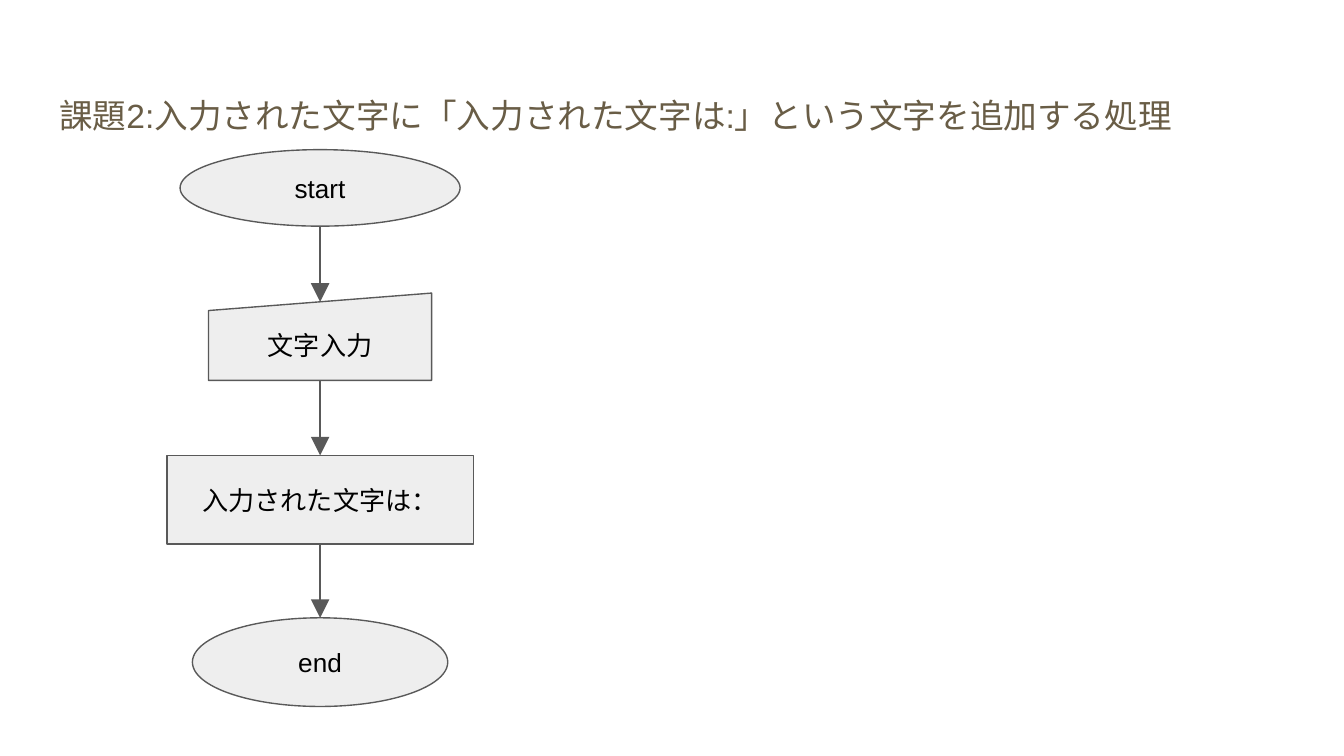
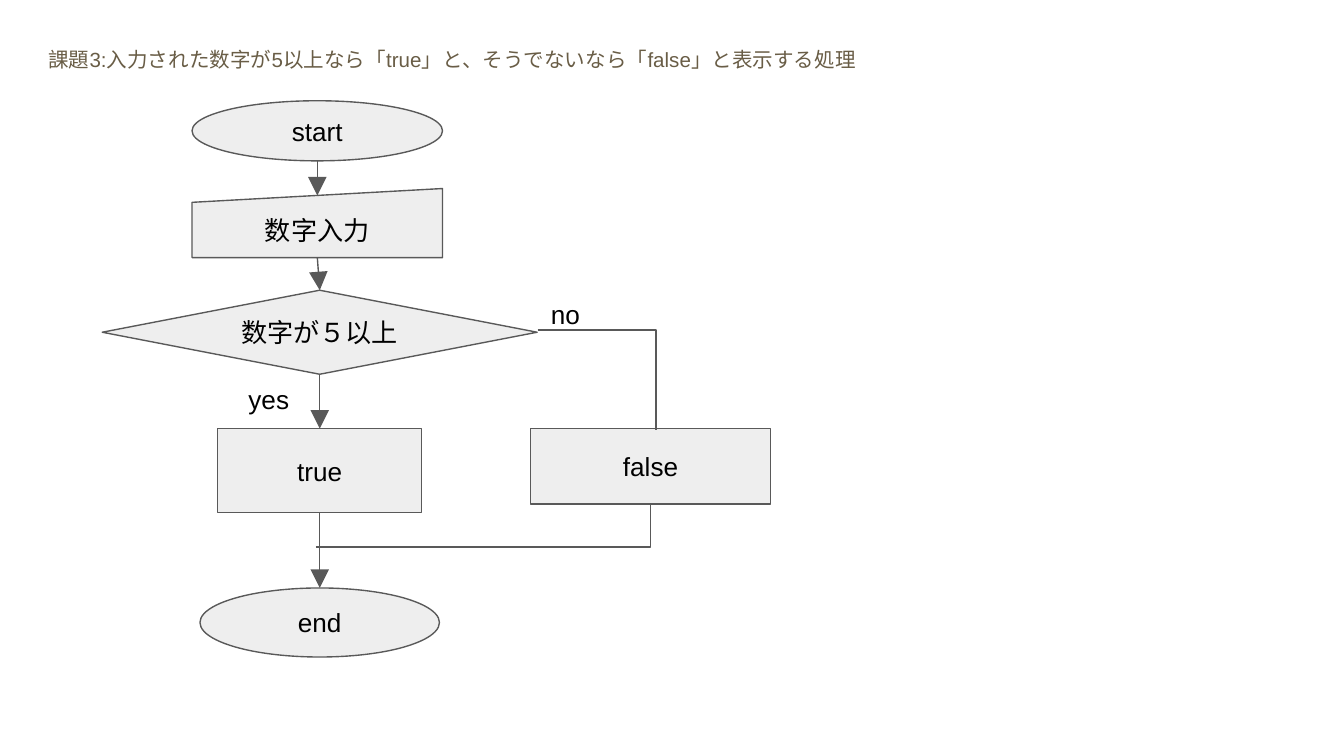
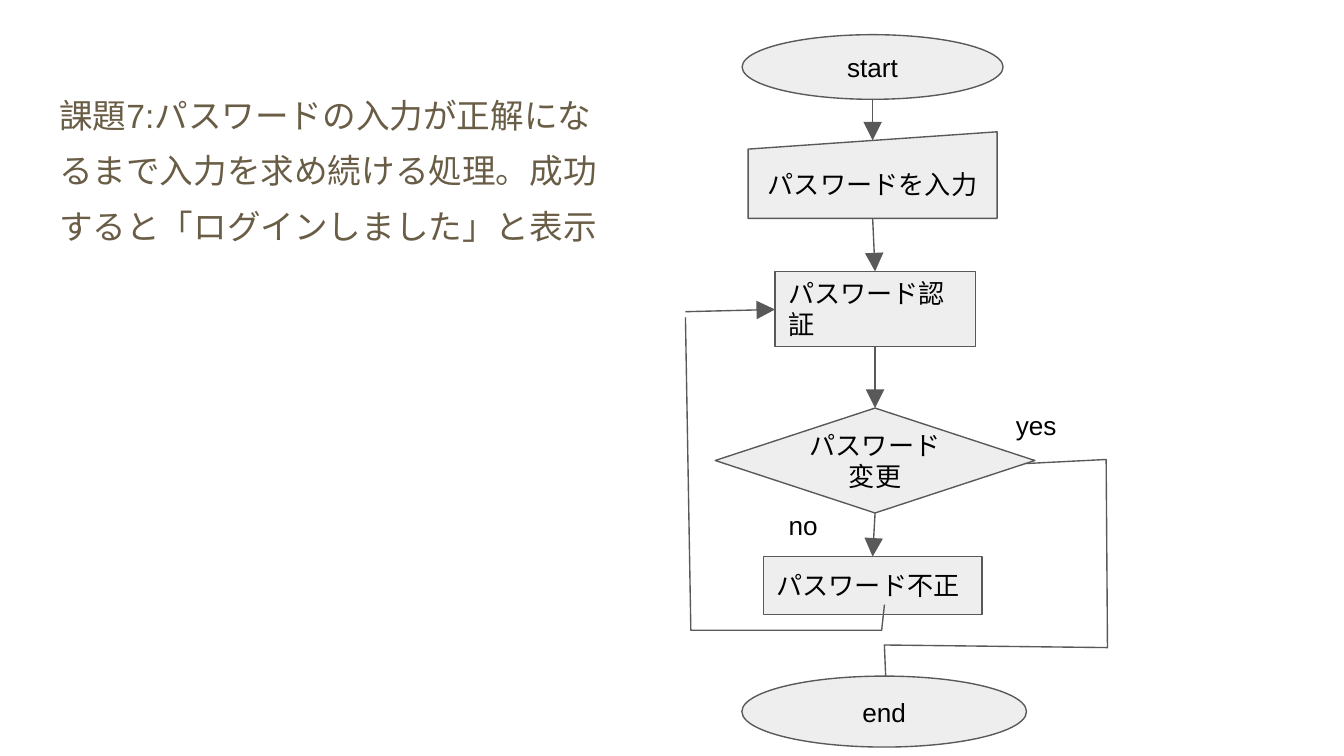
from lxml.etree import SubElement
from pptx import Presentation
from pptx.dml.color import RGBColor
from pptx.enum.shapes import MSO_CONNECTOR as Connector, MSO_SHAPE as Shape
from pptx.enum.text import MSO_ANCHOR as Anchor, MSO_AUTO_SIZE as AutoSize, PP_ALIGN as Align
from pptx.oxml.ns import qn
from pptx.util import Pt

COLORS = {"title": "695D46", "fill": "EEEEEE", "line": "595959", "text": "000000"}
FONT = "Arial"
INSET = Pt(7.2)
LINE_WIDTH = Pt(0.75)
TITLE_ONLY = 5
FRAME_FORMAT = {
    "margin_left": INSET, "margin_right": INSET,
    "margin_top": INSET, "margin_bottom": INSET,
    "word_wrap": True, "auto_size": AutoSize.NONE,
}
TITLE_SPACING = {"line_spacing": 1.38, "space_before": Pt(0), "space_after": Pt(16)}


def color(name):
    return RGBColor.from_string(COLORS[name])


def apply(target, values):
    for name, value in values.items():
        setattr(target, name, value)


class Flowchart:
    """Holds the shared style and the slide being drawn; lengths are points."""

    def __init__(self, presentation):
        self.presentation = presentation
        self.slide = None

    def new_slide(self, title, box, size=18):
        layout = self.presentation.slide_layouts[TITLE_ONLY]
        self.slide = self.presentation.slides.add_slide(layout)
        shape = self.slide.shapes.title
        apply(shape, dict(zip(("left", "top", "width", "height"), map(Pt, box))))
        self.set_text(shape, title, size, "title", Align.LEFT, Anchor.TOP, TITLE_SPACING)

    def set_text(self, shape, text, size=14, ink="text", align=Align.LEFT,
                 anchor=Anchor.TOP, spacing=None):
        frame = shape.text_frame
        apply(frame, {**FRAME_FORMAT, "vertical_anchor": anchor})
        paragraph = frame.paragraphs[0]
        apply(paragraph, {"alignment": align, **(spacing or {})})
        run = paragraph.add_run()
        run.text = text
        apply(run.font, {"size": Pt(size), "name": FONT, "bold": False})
        run.font.color.rgb = color(ink)

    def outline(self, shape):
        shape.line.color.rgb = color("line")
        shape.line.width = LINE_WIDTH

    def node(self, kind, text, center, top, width, height, align=Align.CENTER):
        shape = self.slide.shapes.add_shape(
            kind, Pt(center - width / 2), Pt(top), Pt(width), Pt(height))
        shape.shadow.inherit = False
        shape.fill.solid()
        shape.fill.fore_color.rgb = color("fill")
        self.outline(shape)
        self.set_text(shape, text, align=align, anchor=Anchor.MIDDLE)
        return shape

    def label(self, text, left, top, width, height):
        box = self.slide.shapes.add_textbox(Pt(left), Pt(top), Pt(width), Pt(height))
        self.set_text(box, text)

    def connector(self, kind, begin, end):
        connector = self.slide.shapes.add_connector(kind, *begin, *end)
        self.outline(connector)
        SubElement(connector._element.spPr, qn("a:effectLst"))
        return connector

    def arrow(self, begin, end):
        connector = self.connector(Connector.STRAIGHT, begin, end)
        line = connector._element.spPr.find(qn("a:ln"))
        SubElement(line, qn("a:tailEnd"), type="triangle", w="lg", len="lg")

    def corner(self, begin, end):
        """Draw a connector with one bend, horizontal first."""
        connector = self.connector(Connector.ELBOW, begin, end)
        connector._element.spPr.find(qn("a:prstGeom")).set("prst", "bentConnector2")

    def flow(self, *nodes):
        """Join each node to the next, from bottom centre to top centre."""
        for upper, lower in zip(nodes, nodes[1:]):
            # The slanted edge of a manual input is a tenth lower at its middle.
            slanted = lower.auto_shape_type == Shape.FLOWCHART_MANUAL_INPUT
            drop = lower.height // 10 if slanted else 0
            self.arrow((upper.left + upper.width // 2, upper.top + upper.height),
                       (lower.left + lower.width // 2, lower.top + drop))

    def polyline(self, *points):
        start, *others = [(Pt(x), Pt(y)) for x, y in points]
        builder = self.slide.shapes.build_freeform(*start)
        builder.add_line_segments(others, close=False)
        shape = builder.convert_to_shape()
        shape.shadow.inherit = False
        shape.fill.background()
        self.outline(shape)


def add_prefix_slide(chart):
    chart.new_slide("課題2:入力された文字に「入力された文字は:」という文字を追加する処理",
                    (24.5, 35.3, 671, 45.4))
    axis = 171.5
    chart.flow(
        chart.node(Shape.OVAL, "start", axis, 80.2, 150, 41),
        chart.node(Shape.FLOWCHART_MANUAL_INPUT, "文字入力", axis, 157, 119.5, 46.8),
        chart.node(Shape.RECTANGLE, "入力された文字は：", axis, 244, 164.2, 47.5),
        chart.node(Shape.OVAL, "end", axis, 331, 136.8, 47.5),
    )


def add_branch_slide(chart):
    chart.new_slide("課題3:入力された数字が5以上なら「true」と、そうでないなら「false」と表示する処理",
                    (18.7, 13, 671, 45.4), size=11)
    input_axis, axis, branch_top = 170, 171.3, 229.6
    chart.flow(
        chart.node(Shape.OVAL, "start", input_axis, 54, 134.2, 32.2),
        chart.node(Shape.FLOWCHART_MANUAL_INPUT, "数字入力", input_axis, 101, 134.2, 37),
        chart.node(Shape.FLOWCHART_DECISION, "数字が５以上", axis, 155.5, 233, 45),
        chart.node(Shape.RECTANGLE, "true", axis, branch_top, 109.3, 45),
        chart.node(Shape.OVAL, "end", axis, 315, 128.3, 37),
    )
    chart.node(Shape.RECTANGLE, "false", 348.5, branch_top, 128.5, 40.4)
    chart.corner((Pt(169.2), Pt(293)), (Pt(348.5), Pt(270)))
    chart.polyline((288, 176.8), (351.4, 176.8), (351.4, 230.6))
    chart.label("yes", 126, 198, 45.4, 23)
    chart.label("no", 288, 152.6, 78.5, 23)


def add_password_slide(chart):
    chart.new_slide("課題7:パスワードの入力が正解になるまで入力を求め続ける処理。"
                    "成功すると「ログインしました」と表示", (24.5, 35.3, 314, 87.8))
    input_axis, check_axis = 467.5, 468.8
    chart.flow(
        chart.node(Shape.OVAL, "start", input_axis, 18.6, 139.8, 34.6),
        chart.node(Shape.FLOWCHART_MANUAL_INPUT, "パスワードを入力",
                   input_axis, 70.6, 133.4, 46.4),
        chart.node(Shape.RECTANGLE, "パスワード認証",
                   check_axis, 145.4, 107.4, 40.2, Align.LEFT),
        chart.node(Shape.FLOWCHART_DECISION, "パスワード変更", check_axis, 218.6, 171.2, 56.2),
        chart.node(Shape.RECTANGLE, "パスワード不正",
                   input_axis, 298.2, 117.2, 31, Align.LEFT),
    )
    chart.node(Shape.OVAL, "end", 473.7, 362.2, 152.5, 38)
    chart.arrow((Pt(367.2), Pt(167)), (Pt(415.2), Pt(165.8)))
    chart.polyline((367.2, 170), (370.1, 337.7), (472.3, 337.7), (473.8, 324))
    chart.polyline((549.4, 248.4), (592.6, 246.2), (593.3, 347), (473.8, 345.6),
                   (474.5, 362.2))
    chart.label("yes", 537.1, 212.4, 64.8, 31)
    chart.label("no", 415.4, 265.7, 33.8, 17.3)


def main():
    presentation = Presentation()
    apply(presentation, {"slide_width": Pt(720), "slide_height": Pt(405)})
    chart = Flowchart(presentation)
    for add_slide in (add_prefix_slide, add_branch_slide, add_password_slide):
        add_slide(chart)
    presentation.save("out.pptx")


if __name__ == "__main__":
    main()
